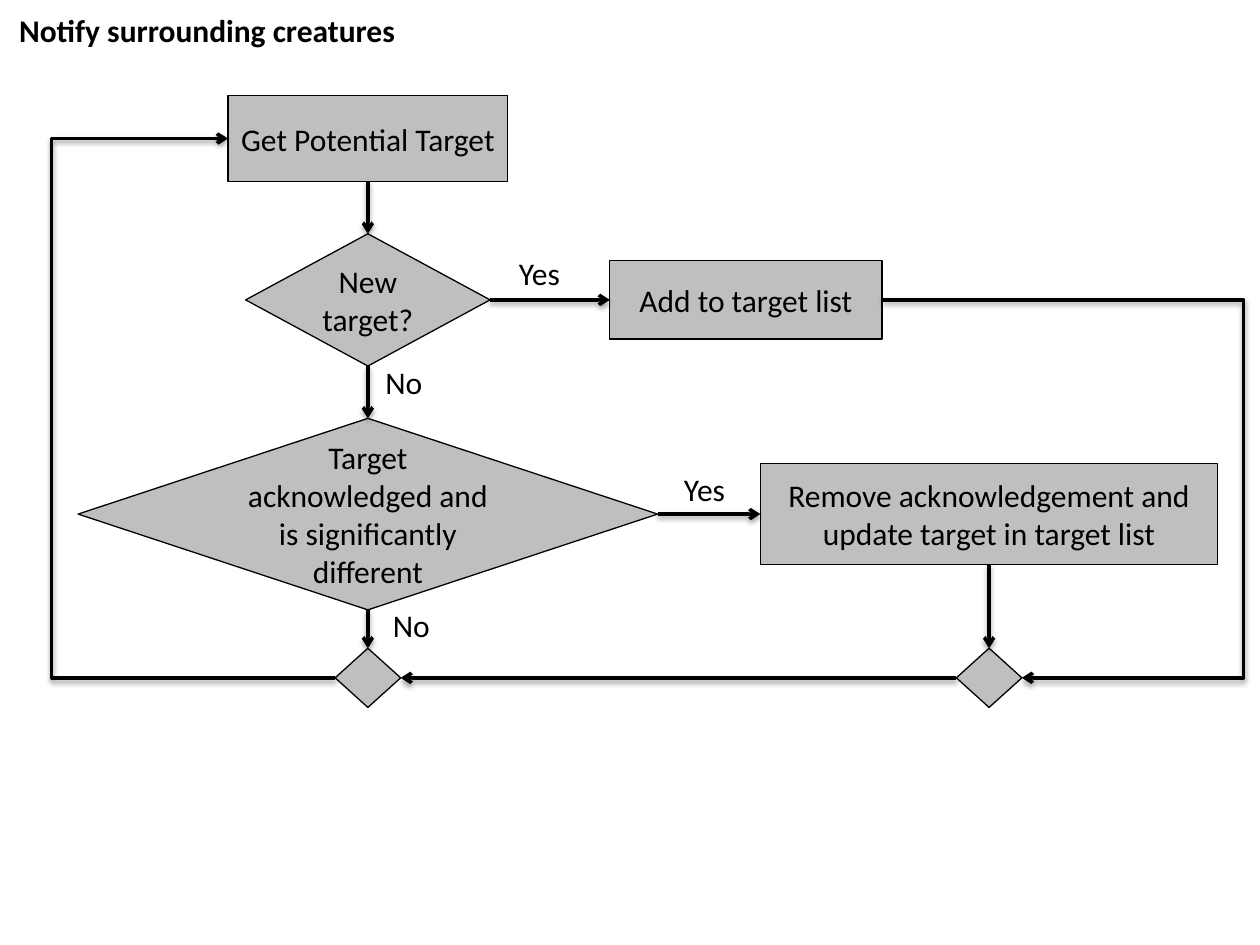
from lxml.etree import SubElement
from pptx import Presentation
from pptx.dml.color import RGBColor
from pptx.enum.shapes import MSO_CONNECTOR, MSO_SHAPE
from pptx.enum.text import MSO_ANCHOR, MSO_AUTO_SIZE, PP_ALIGN
from pptx.oxml.ns import qn
from pptx.util import Inches, Pt

BLACK, GREY = "000000", "BFBFBF"
# Connection sites of rectangles and diamonds
TOP, LEFT, BOTTOM, RIGHT = range(4)


def color(value):
    return RGBColor.from_string(value)


def write_text(frame, text, bold=False, align=PP_ALIGN.CENTER,
               anchor=MSO_ANCHOR.MIDDLE, wrap=True):
    frame.word_wrap = wrap
    frame.auto_size = MSO_AUTO_SIZE.NONE if wrap else MSO_AUTO_SIZE.SHAPE_TO_FIT_TEXT
    frame.vertical_anchor = anchor
    para = frame.paragraphs[0]
    para.alignment = align
    span = para.add_run()
    span.text = text
    span.font.name = "Calibri"
    span.font.size = Pt(18)
    span.font.bold = bold
    span.font.color.rgb = color(BLACK)


def add_title(slide, text, left, top, width, height):
    title = slide.shapes.title
    title.left, title.top = Inches(left), Inches(top)
    title.width, title.height = Inches(width), Inches(height)
    write_text(title.text_frame, text, bold=True, anchor=MSO_ANCHOR.TOP, wrap=False)


def add_node(slide, kind, center_x, center_y, width, height, text=""):
    node = slide.shapes.add_shape(
        kind, Inches(center_x - width / 2), Inches(center_y - height / 2),
        Inches(width), Inches(height))
    node.shadow.inherit = False
    node.fill.solid()
    node.fill.fore_color.rgb = color(GREY)
    node.line.color.rgb = color(BLACK)
    node.line.width = Pt(0.75)
    if text:
        write_text(node.text_frame, text)
    return node


def add_label(slide, text, left, top, width):
    box = slide.shapes.add_textbox(Inches(left), Inches(top), Inches(width), Inches(0.4))
    write_text(box.text_frame, text, align=PP_ALIGN.LEFT, anchor=MSO_ANCHOR.TOP, wrap=False)


def add_shadow(connector):
    effects = SubElement(connector._element.spPr, qn("a:effectLst"))
    shadow = SubElement(effects, qn("a:outerShdw"), blurRad=str(Pt(3.1)),
                        dist=str(Pt(1.6)), dir="5400000", rotWithShape="0")
    shade = SubElement(shadow, qn("a:srgbClr"), val=BLACK)
    SubElement(shade, qn("a:alpha"), val="38000")


def add_arrow(slide, source, source_site, target, target_site, lane=None):
    """Join two nodes; a lane is the x position of the upright part of a bent arrow."""
    kind = MSO_CONNECTOR.STRAIGHT if lane is None else MSO_CONNECTOR.ELBOW
    arrow = slide.shapes.add_connector(kind, 0, 0, 0, 0)
    arrow.begin_connect(source, source_site)
    arrow.end_connect(target, target_site)
    arrow.line.color.rgb = color(BLACK)
    arrow.line.width = Pt(2)
    SubElement(arrow.line._get_or_add_ln(), qn("a:tailEnd"), type="arrow")
    add_shadow(arrow)
    if lane is not None:
        share = (Inches(lane) - arrow.begin_x) / (arrow.end_x - arrow.begin_x)
        adjustments = arrow._element.spPr.find(qn("a:prstGeom")).get_or_add_avLst()
        SubElement(adjustments, qn("a:gd"), name="adj1", fmla=f"val {round(share * 100000)}")


def main():
    deck = Presentation()
    deck.slide_width, deck.slide_height = Inches(10), Inches(7.5)
    slide = deck.slides.add_slide(deck.slide_layouts[5])
    add_title(slide, "Notify surrounding creatures", 0.03, 0.04, 3.23, 0.4)

    # Steps, decisions and merge points
    main_x, side_x = 2.92, 7.85
    box, diamond = MSO_SHAPE.RECTANGLE, MSO_SHAPE.DIAMOND
    get_target = add_node(slide, box, main_x, 1.1, 2.22, 0.68, "Get Potential Target")
    is_new = add_node(slide, diamond, main_x, 2.38, 1.94, 1.05, "New target?")
    is_different = add_node(slide, diamond, main_x, 4.08, 4.6, 1.52,
                            "Target acknowledged and is significantly different")
    add_target = add_node(slide, box, 5.92, 2.38, 2.16, 0.62, "Add to target list")
    update_target = add_node(slide, box, side_x, 4.08, 3.63, 0.8,
                             "Remove acknowledgement and update target in target list")
    main_merge, side_merge = [add_node(slide, diamond, x, 5.38, 0.52, 0.47)
                              for x in (main_x, side_x)]

    # Arrows
    for source, target in [(get_target, is_new), (is_new, is_different),
                           (is_different, main_merge), (update_target, side_merge)]:
        add_arrow(slide, source, BOTTOM, target, TOP)
    for source, target in [(is_new, add_target), (is_different, update_target)]:
        add_arrow(slide, source, RIGHT, target, LEFT)
    add_arrow(slide, side_merge, LEFT, main_merge, RIGHT)
    add_arrow(slide, main_merge, LEFT, get_target, LEFT, lane=0.41)
    add_arrow(slide, add_target, RIGHT, side_merge, RIGHT, lane=9.87)

    # Branch labels
    for text, left, top, width in [("Yes", 4.02, 1.97, 0.55), ("No", 2.96, 2.83, 0.5),
                                   ("Yes", 5.33, 3.68, 0.55), ("No", 3.02, 4.76, 0.5)]:
        add_label(slide, text, left, top, width)

    deck.save("out.pptx")


main()
